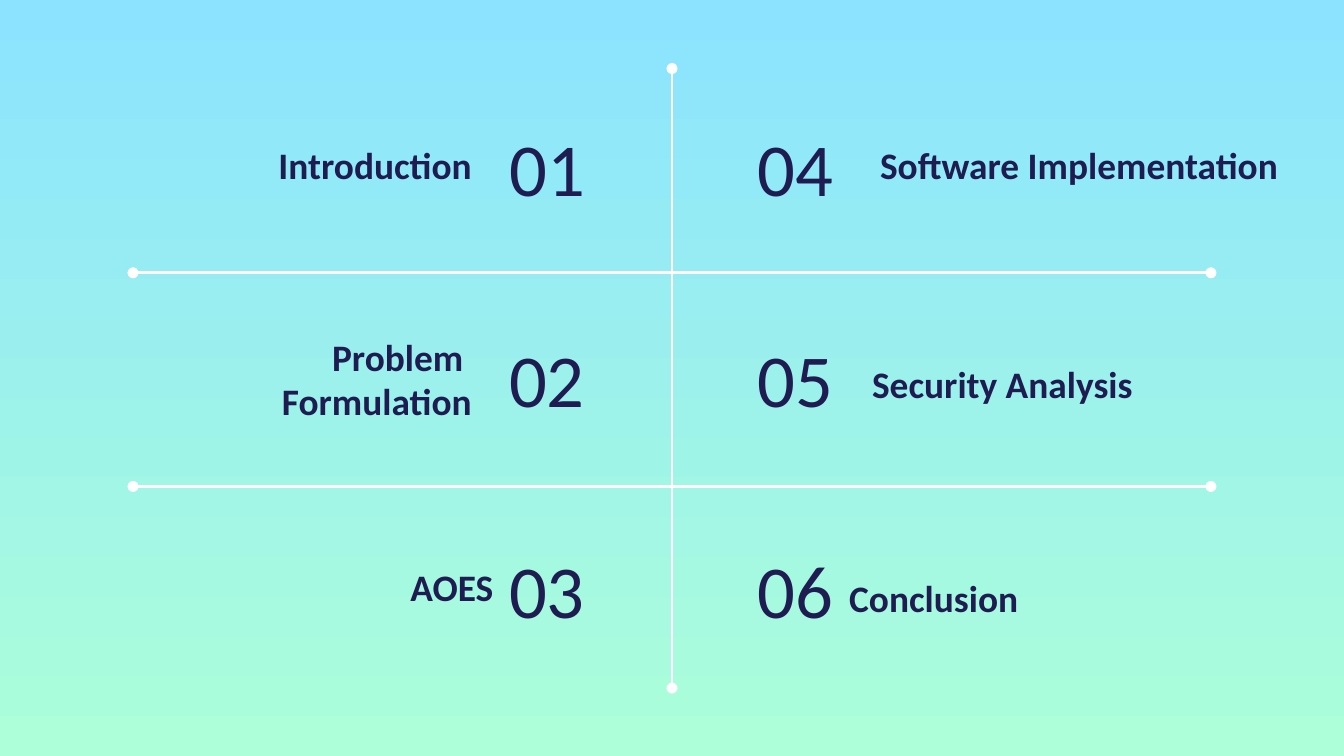
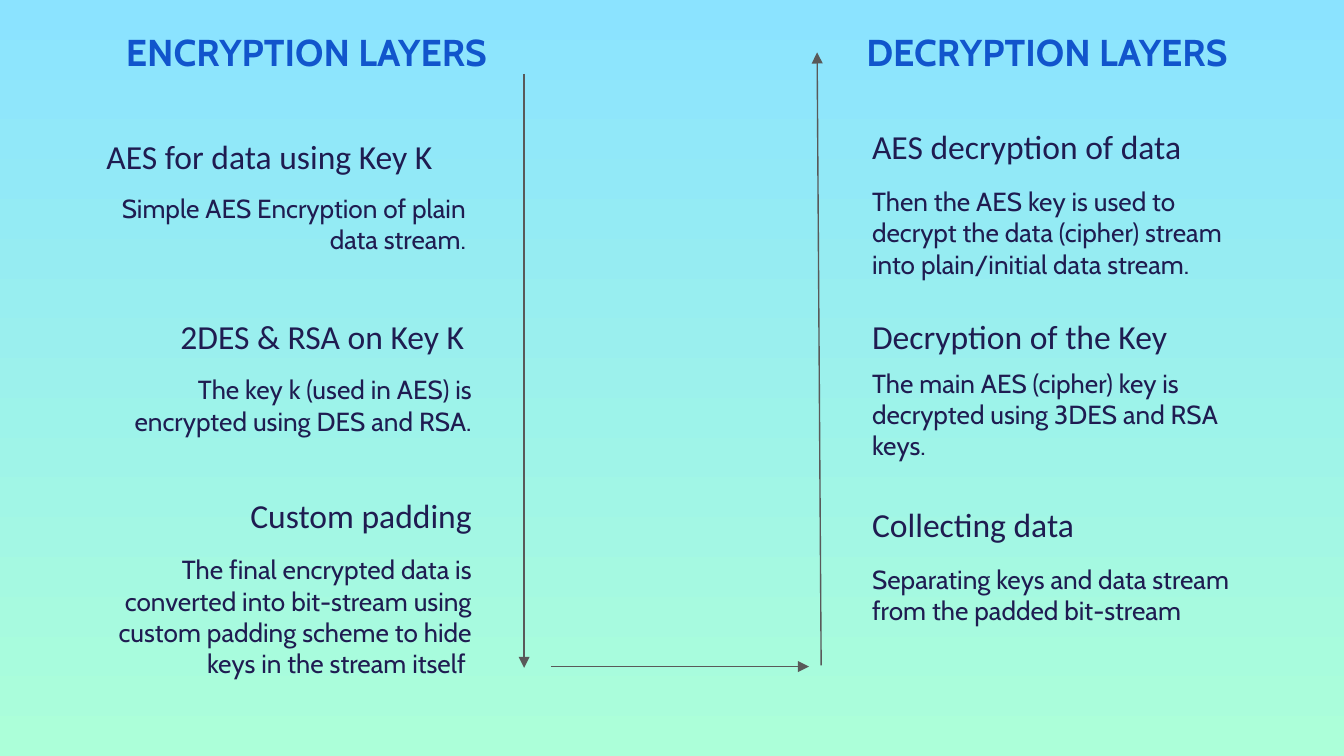
from lxml import etree
from pptx import Presentation
from pptx.dml.color import RGBColor
from pptx.enum.shapes import MSO_CONNECTOR
from pptx.enum.text import MSO_ANCHOR, MSO_AUTO_SIZE, PP_ALIGN
from pptx.oxml.ns import qn
from pptx.util import Inches, Pt

LEFT, MID, RIGHT = PP_ALIGN.LEFT, PP_ALIGN.CENTER, PP_ALIGN.RIGHT
TOP, CENTER, BOTTOM = MSO_ANCHOR.TOP, MSO_ANCHOR.MIDDLE, MSO_ANCHOR.BOTTOM
STRAIGHT = MSO_CONNECTOR.STRAIGHT
NO_FIT = MSO_AUTO_SIZE.NONE

SKY = RGBColor(0x8B, 0xE3, 0xFF)
MINT = RGBColor(0xAC, 0xFF, 0xD9)
NAVY = RGBColor(0x1F, 0x1C, 0x51)
BLUE = RGBColor(0x11, 0x55, 0xCC)
GRAY = RGBColor(0x59, 0x59, 0x59)
WHITE = RGBColor(0xFF, 0xFF, 0xFF)
HEAD_FONT, BODY_FONT = "Calibri", "Cabin"


class Deck:
    def __init__(self):
        self.prs = Presentation()
        # Wide 16:9 page
        self.prs.slide_width = Inches(10)
        self.prs.slide_height = Inches(10 * 9 / 16)
        self.slide = None
        self.fresh = False
        # Shared background, sky at the top to mint at the bottom
        fill = self.prs.slide_master.background.fill
        fill.gradient()
        fill.gradient_angle = 270
        for stop, color in zip(fill.gradient_stops, (SKY, MINT)):
            stop.color.rgb = color

    def start(self):
        self.slide = self.prs.slides.add_slide(self.prs.slide_layouts[5])
        self.fresh = True

    def text(self, box, words, size, font, align, anchor,
             color=NAVY, bold=False, indent=0):
        # The first text of a slide goes into its title placeholder
        pos = [Inches(v) for v in box]
        if self.fresh:
            shape = self.slide.shapes.title
            shape.left, shape.top, shape.width, shape.height = pos
            self.fresh = False
        else:
            shape = self.slide.shapes.add_textbox(*pos)
        frame = shape.text_frame
        frame.text = words
        frame.word_wrap = True
        frame.auto_size = NO_FIT
        frame.vertical_anchor = anchor
        frame.margin_left = frame.margin_right = Inches(0.1)
        frame.margin_top = frame.margin_bottom = Inches(0.1)
        for para in frame.paragraphs:
            para.alignment = align
            para.font.size = Pt(size)
            para.font.name = font
            para.font.bold = bold
            para.font.color.rgb = color
            if indent:
                para._p.get_or_add_pPr().set("marL", str(Inches(indent)))

    def banner(self, box, words):
        self.text(box, words, 20, BODY_FONT, MID, TOP, BLUE, True)

    def number(self, box, words, align):
        self.text(box, words, 40, HEAD_FONT, align, CENTER)

    def topic(self, box, words, align):
        self.text(box, words, 20, HEAD_FONT, align, BOTTOM, bold=True)

    def head(self, box, words, align, indent=0):
        self.text(box, words, 18, HEAD_FONT, align, BOTTOM, indent=indent)

    def body(self, box, words, align):
        self.text(box, words, 14, BODY_FONT, align, TOP)

    def line(self, ends, color, width, **tips):
        link = self.slide.shapes.add_connector(
            STRAIGHT, *[Inches(v) for v in ends])
        link.line.color.rgb = color
        link.line.width = Pt(width)
        edge = link._element.spPr.find(qn("a:ln"))
        for tag, kind in tips.items():
            etree.SubElement(edge, qn(f"a:{tag}"), type=kind)
        etree.SubElement(link._element.spPr, qn("a:effectLst"))

    def rule(self, *ends):
        self.line(ends, WHITE, 1.5, headEnd="oval", tailEnd="oval")

    def arrow(self, *ends):
        self.line(ends, GRAY, 0.75, tailEnd="triangle")


deck = Deck()

# Slide 1: agenda
deck.start()
for i in range(6):
    col, row = divmod(i, 3)
    box = (3.69 + 1.31 * col, 0.81 + 1.57 * row, 1.3, 0.86)
    deck.number(box, f"{i + 1:02}", RIGHT if col else LEFT)

deck.rule(5, 0.51, 5, 5.12)
for y in (2.03, 3.62):
    deck.rule(0.99, y, 9.01, y)

TOPICS = [
    ((0.63, 0.99, 2.98, 0.5), "Introduction", RIGHT),
    ((0.63, 2.39, 2.98, 0.86), "Problem \nFormulation", RIGHT),
    ((0.79, 4.13, 2.98, 0.5), "AOES", RIGHT),
    ((6.45, 0.99, 3.41, 0.5), "Software Implementation", LEFT),
    ((6.39, 2.62, 2.98, 0.5), "Security Analysis", LEFT),
    ((6.22, 3.45, 2.83, 1.26), "Conclusion", LEFT),
]
for topic in TOPICS:
    deck.topic(*topic)

# Slide 2: encryption down the left, decryption up the right
deck.start()
deck.banner((0.17, 0.12, 4.22, 0.54), "ENCRYPTION LAYERS")
deck.banner((6.08, 0.12, 3.42, 0.54), "DECRYPTION LAYERS")

# The first step has a wider box than the others
deck.head((-0.1, 0.72, 3.71, 0.69), "AES for data using Key K", MID, 0.5)
deck.body((-0.1, 1.33, 3.71, 0.69),
          "Simple AES Encryption of plain \ndata stream. ", RIGHT)

# Left, alignment, head top, body top, body height, head, body
STEPS = [
    (0.63, RIGHT, 2.25, 2.68, 0.69, "2DES & RSA on Key K ",
     "The key k (used in AES) is encrypted using DES and RSA."),
    (0.63, RIGHT, 3.58, 4.02, 1.18, "Custom padding",
     "The final encrypted data is converted into bit-stream using "
     "custom padding scheme to hide keys in the stream itself "),
    (6.39, LEFT, 0.84, 1.28, 1.18, "AES decryption of data",
     "Then the AES key is used to decrypt the data (cipher) stream "
     "into plain/initial data stream."),
    (6.39, LEFT, 2.25, 2.63, 0.69, "Decryption of the Key",
     "The main AES (cipher) key is decrypted using 3DES and RSA keys."),
    (6.39, LEFT, 3.65, 4.09, 0.69, "Collecting data",
     "Separating keys and data stream from the padded bit-stream"),
]
for x, align, top, low, tall, head, body in STEPS:
    deck.head((x, top, 2.98, 0.5), head, align)
    deck.body((x, low, 2.98, tall), body, align)

deck.arrow(3.9, 0.55, 3.9, 4.97)
deck.arrow(4.1, 4.96, 6.02, 4.96)
deck.arrow(6.11, 4.95, 6.08, 0.39)

deck.prs.save("out.pptx")
